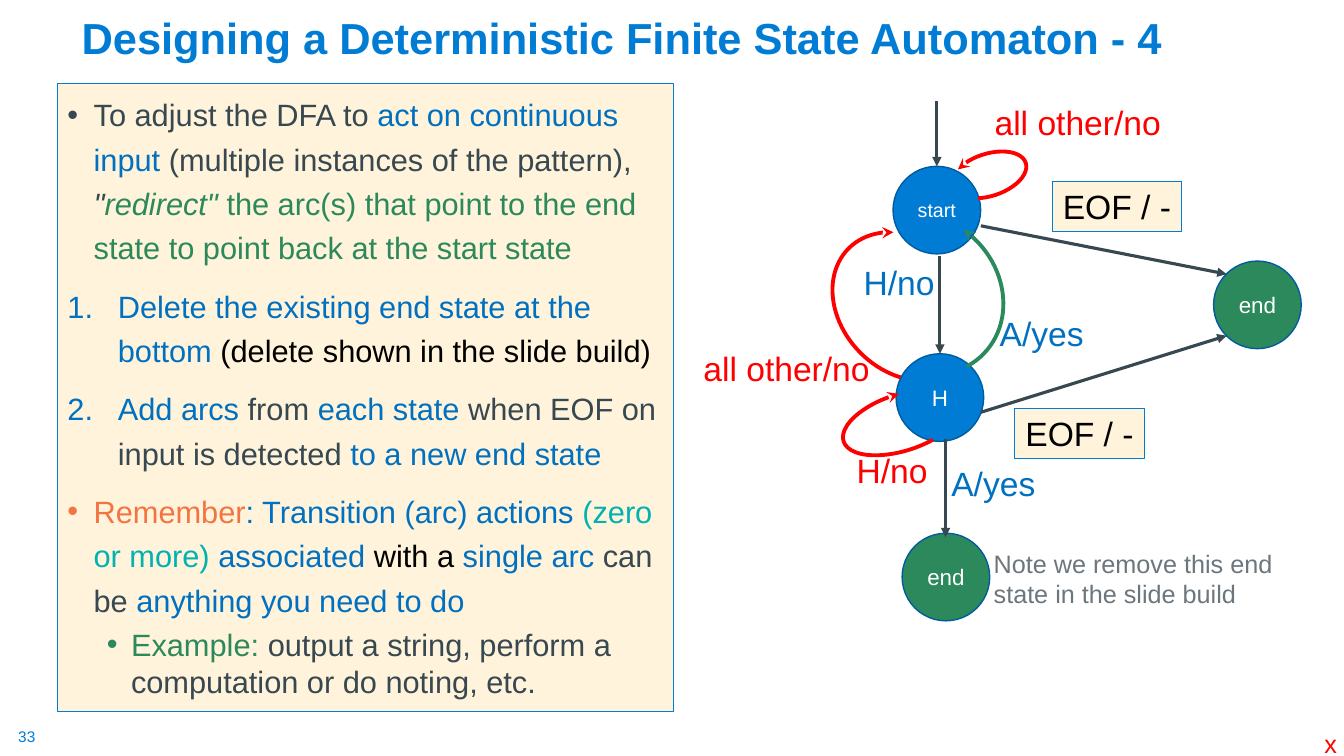
import pptx
import pptx.dml.color
import pptx.enum.shapes
import pptx.enum.text
import pptx.oxml
import pptx.oxml.ns
import pptx.util

Pt = pptx.util.Pt
SHAPE = pptx.enum.shapes.MSO_SHAPE
ALIGN = pptx.enum.text.PP_ALIGN
ANCHOR = pptx.enum.text.MSO_ANCHOR
FIT = pptx.enum.text.MSO_AUTO_SIZE

COLORS = {
    "blue": "007CD5", "edge": "005C9E", "link": "0070C0", "slate": "384851",
    "green": "2C895B", "orange": "F37440", "teal": "00B2B1", "red": "FF0000",
    "grey": "6B767D", "cream": "FFF4DB", "black": "000000", "white": "FFFFFF",
}
STATE_SIZE = 62.6
LABEL_HEIGHT = 36
TOP = 0

BULLET = {"kind": "buChar", "attr": 'char="•"', "left": 18.7, "hang": 18.7, "level": 0,
          "spacing": 1.2, "before": 10}
NUMBER = {**BULLET, "kind": "buAutoNum", "attr": 'type="arabicPeriod"', "left": 36, "hang": 36}
SUB_BULLET = {**BULLET, "left": 45.4, "hang": 17.3, "level": 1, "spacing": 1.0, "before": 5}

BODY = [
    (BULLET, [("To adjust the DFA to ", "slate"), ("act on continuous input", "link"),
              (" (multiple instances of the pattern), ", "slate"), ('"', "slate", True),
              ('redirect" ', "green", True),
              ("the arc(s) that point to the end state to point back at the start state",
               "green")]),
    (NUMBER, [("Delete the existing end state at the bottom ", "link"),
              ("(delete shown in the slide build)", "black")]),
    (NUMBER, [("Add arcs ", "link"), ("from ", "slate"), ("each state ", "link"),
              ("when EOF on input is detected ", "slate"), ("to a new end state", "link")]),
    (BULLET, [("Remember", "orange"), (": Transition (arc) actions ", "link"),
              ("(zero or more)", "teal"), (" associated ", "link"), ("with a ", "black"),
              ("single arc ", "link"), ("can be ", "slate"),
              ("anything you need to do", "link")]),
    (SUB_BULLET, [("Example: ", "green"),
                  ("output a string, perform a computation or do noting, etc.", "slate")]),
]

# left, top, width, height, rotation, start and end adjustments, flipped, colour
ARCS = [
    (624.2, 257.8, 40.3, 87.8, 252, (82.368, 7.023), False, "red"),
    (589, 172.1, 117.4, 93.6, 225.1, (137.894, 20.871), False, "red"),
    (691.2, 97.2, 30.2, 55.4, 252, (82.368, 37.244), True, "red"),
    (604.1, 148.3, 108.7, 123.1, 313.8, (153.265, 6.32), True, "green"),
]
LABELS = [
    ("H/no", 609.8, 183.6, 65.5, "link"),
    ("H/no", 604.8, 318.2, 65.5, "red"),
    ("all other/no", 495.4, 244.8, 134.6, "red"),
    ("all other/no", 703.4, 69.1, 134.6, "red"),
    ("A/yes", 707, 220.3, 74.9, "link"),
    ("A/yes", 672.5, 326.9, 74.9, "link"),
]


def rgb(name):
    return pptx.dml.color.RGBColor.from_string(COLORS[name])


def set_values(obj, values):
    for name, value in values.items():
        setattr(obj, name, value)


def place(sp, *box):
    set_values(sp, dict(zip(("left", "top", "width", "height"), map(Pt, box))))


def paint(sp, fill, line, width):
    sp.fill.solid()
    sp.fill.fore_color.rgb = rgb(fill)
    sp.line.color.rgb = rgb(line)
    sp.line.width = Pt(width)


def add_run(p, text, size, color, **style):
    r = p.add_run()
    r.text = text
    set_values(r.font, {"name": "Arial", "size": Pt(size), **style})
    r.font.color.rgb = rgb(color)


def add_arrowhead(sp, kind):
    sp.line._get_or_add_ln().append(pptx.oxml.parse_xml(
        f'<a:tailEnd {pptx.oxml.ns.nsdecls("a")} type="{kind}"/>'))


def add_bullet(p, style):
    pPr = p._p.get_or_add_pPr()
    pPr.set("marL", str(Pt(style["left"])))
    pPr.set("indent", str(-Pt(style["hang"])))
    ns = pptx.oxml.ns.nsdecls("a")
    for tag in ('buFont', 'typeface="Arial"'), (style["kind"], style["attr"]):
        pPr.append(pptx.oxml.parse_xml(f"<a:{tag[0]} {ns} {tag[1]}/>"))


def fill_title(sp):
    place(sp, 51.1, 15.8, 828, 33.8)
    tf = sp.text_frame
    set_values(tf, {"auto_size": FIT.NONE, "vertical_anchor": ANCHOR.BOTTOM})
    p = tf.paragraphs[0]
    set_values(p, {"alignment": ALIGN.LEFT, "line_spacing": 0.9})
    add_run(p, "Designing a Deterministic Finite State Automaton - 4", 31, "blue", bold=True)


def fill_body(sp):
    place(sp, 41, 59.8, 439.9, 448.6)
    paint(sp, "cream", "blue", 0.75)
    tf = sp.text_frame
    set_values(tf, {"auto_size": FIT.NONE, "vertical_anchor": ANCHOR.TOP})
    for i, (style, runs) in enumerate(BODY):
        p = tf.add_paragraph() if i else tf.paragraphs[0]
        add_bullet(p, style)
        set_values(p, {"level": style["level"], "line_spacing": style["spacing"],
                       "space_before": Pt(style["before"] if i else 0)})
        for text, color, *italic in runs:
            add_run(p, text, 22, color, italic=bool(italic))


def add_state(s, text, left, top, fill, size=16):
    sp = s.shapes.add_shape(SHAPE.OVAL, Pt(left), Pt(top), Pt(STATE_SIZE), Pt(STATE_SIZE))
    sp.shadow.inherit = False
    paint(sp, fill, "edge", 1)
    set_values(sp.text_frame, {"word_wrap": False, "vertical_anchor": ANCHOR.MIDDLE})
    p = sp.text_frame.paragraphs[0]
    p.alignment = ALIGN.CENTER
    add_run(p, text, size, "white")
    return sp


def add_arc(s, left, top, width, height, rotation, ends, flipped, color):
    sp = s.shapes.add_shape(SHAPE.ARC, Pt(left), Pt(top), Pt(width), Pt(height))
    sp.shadow.inherit = False
    sp.rotation = rotation
    for i, end in enumerate(ends):
        sp.adjustments[i] = end
    if flipped:
        sp._element.spPr.find(pptx.oxml.ns.qn("a:xfrm")).set("flipV", "1")
    sp.fill.background()
    sp.line.color.rgb = rgb(color)
    sp.line.width = Pt(2.75)
    add_arrowhead(sp, "stealth")


def add_arrow(s, x1, y1, x2, y2, target=None):
    """Draw a straight arrow, joined to the top of target if one is given."""
    c = s.shapes.add_connector(pptx.enum.shapes.MSO_CONNECTOR.STRAIGHT,
                               Pt(x1), Pt(y1), Pt(x2), Pt(y2))
    if target is not None:
        c.end_connect(target, TOP)
    c.line.color.rgb = rgb("slate")
    c.line.width = Pt(2.25)
    add_arrowhead(c, "triangle")
    c._element.spPr.append(pptx.oxml.parse_xml(
        f'<a:effectLst {pptx.oxml.ns.nsdecls("a")}/>'))


def add_text(s, text, left, top, width, color, height=LABEL_HEIGHT, size=24, wrap=False):
    sp = s.shapes.add_textbox(Pt(left), Pt(top), Pt(width), Pt(height))
    set_values(sp.text_frame, {"word_wrap": wrap, "auto_size": FIT.SHAPE_TO_FIT_TEXT})
    add_run(sp.text_frame.paragraphs[0], text, size, color)
    return sp


def add_eof_label(s, left, top):
    sp = add_text(s, "EOF / -", left, top, 92.2, "black")
    paint(sp, "cream", "blue", 0.75)
    sp.text_frame.paragraphs[0].alignment = ALIGN.CENTER


def main():
    prs = pptx.Presentation()
    set_values(prs, {"slide_width": Pt(960), "slide_height": Pt(540)})
    s = prs.slides.add_slide(prs.slide_layouts[1])
    fill_title(s.shapes.title)
    fill_body(s.placeholders[1])

    number = add_text(s, "33", 13, 519.1, 13.7, "blue", height=13.7, size=11)
    margins = ("margin_left", "margin_top", "margin_right", "margin_bottom")
    set_values(number.text_frame, dict.fromkeys(margins, 0))

    start = add_state(s, "start", 637.9, 118.8, "blue", size=14)
    h_state = add_state(s, "H", 640.1, 252.7, "blue")
    add_state(s, "end", 866.9, 186.5, "green")
    add_state(s, "end", 644.4, 380.9, "green")

    add_arrow(s, 669.2, 72, 669.2, 118.8, start)
    add_arrow(s, 671.4, 182.9, 671.4, 252.7, h_state)
    add_arrow(s, 700.6, 294.5, 876.2, 239.8)
    add_arrow(s, 700.6, 161.3, 876.2, 195.8)
    add_arrow(s, 675.4, 313.9, 675.4, 383.8)
    for arc in ARCS:
        add_arc(s, *arc)

    for label in LABELS:
        add_text(s, *label)
    add_eof_label(s, 751.7, 129.6)
    add_eof_label(s, 725, 291.6)
    add_text(s, "x", 938.9, 517, 23.8, "red", height=28.8, size=18)
    add_text(s, "Note we remove this end state in the slide build", 702.7, 388.1, 216.7,
             "grey", height=51.1, size=18, wrap=True)
    prs.save("out.pptx")


if __name__ == "__main__":
    main()
